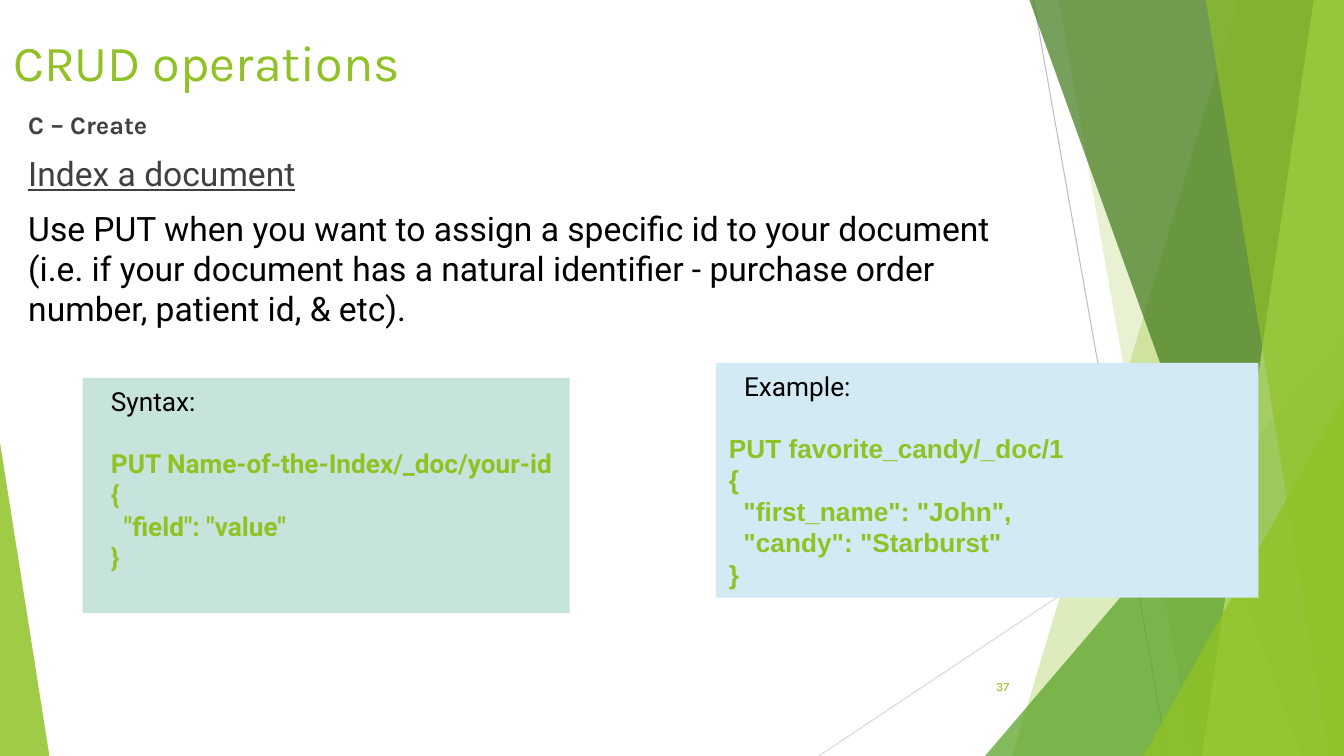
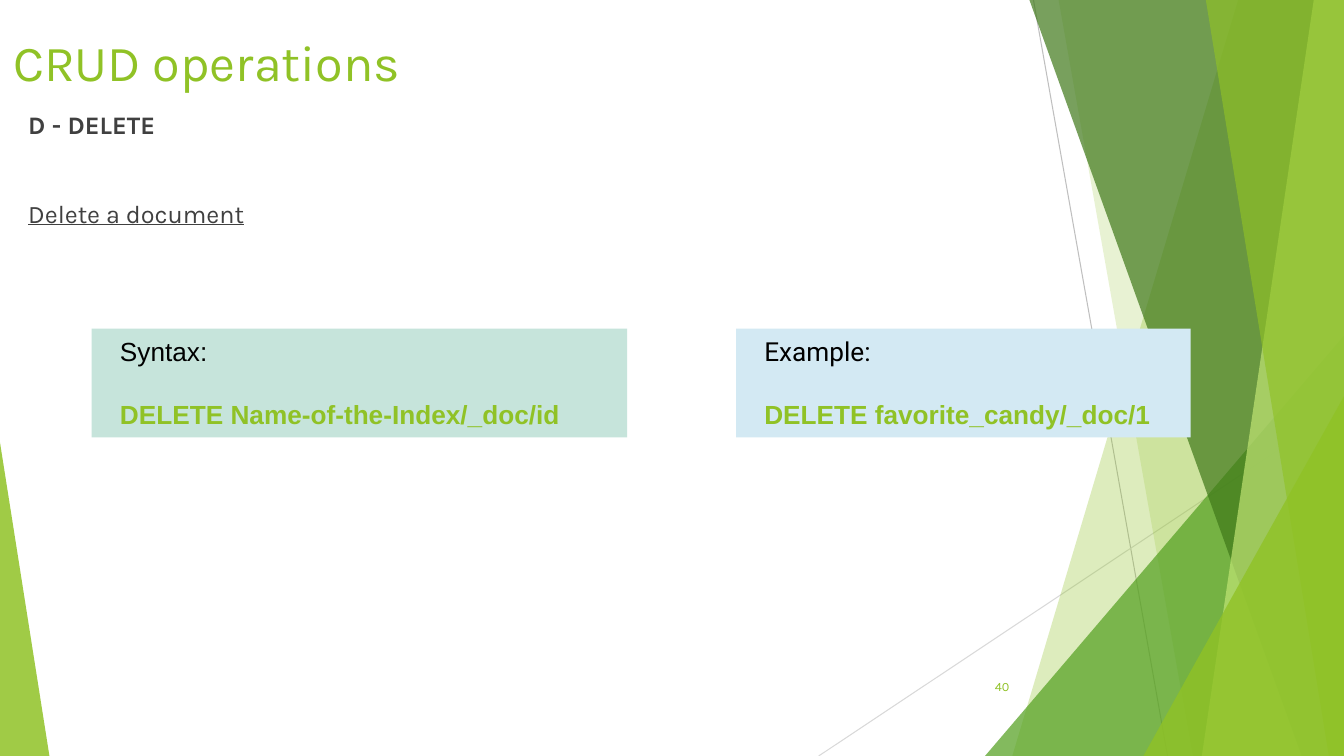
from lxml import etree
from pptx import Presentation
from pptx.dml.color import RGBColor
from pptx.enum import shapes, text
from pptx.oxml.ns import qn
from pptx.util import Inches, Pt

W, H = 13.33, 7.5
COLORS = {
    "accent": "90C226", "green": "54A021", "forest": "3F7819", "lime": "C0E474",
    "body": "404040", "black": "000000", "mint": "C6E4DB", "sky": "D3E9F3",
    "gray": "BFBFBF", "silver": "D9D9D9",
}
INDENT = 0.15
CODE_SIZE = 18.7
TITLE = "CRUD operations"

RULES = [(10.25, 0, 11.58, H, "gray"), (W, 4.03, 8.12, H, "silver")]
DECOR = [
    ("panel", (12.28, 10.04), "accent", 30),
    ("panel", (10.5, 11.83), "accent", 20),
    ("triangle", (9.77, 3.33, 3.56, 1), "green", 72),
    ("panel", (10.21, 12.91), "forest", 70),
    ("panel", (13.03, 11.92), "lime", 70),
    ("panel", (11.96, 13.18), "accent", 65),
    ("triangle", (11.34, 3.93, 1.99, 1), "accent", 80),
    ("triangle", (0, 4.39, 0.49, 0), "accent", 85),
]


def rgb(name):
    return RGBColor.from_string(COLORS[name])


def place(sp, left, top, width, height):
    sp.left, sp.top = Inches(left), Inches(top)
    sp.width, sp.height = Inches(width), Inches(height)


def fill_plain(sp, color, opacity=100):
    sp.shadow.inherit = False
    sp.line.fill.background()
    sp.fill.solid()
    sp.fill.fore_color.rgb = rgb(color)
    if opacity < 100:
        clr = sp.element.spPr.find(qn("a:solidFill"))[0]
        etree.SubElement(clr, qn("a:alpha"), val=str(opacity * 1000))


def set_frame(tf, inset_y=0.13, anchor=text.MSO_ANCHOR.TOP):
    tf.word_wrap = True
    tf.auto_size = text.MSO_AUTO_SIZE.NONE
    tf.vertical_anchor = anchor
    tf.margin_left = tf.margin_right = Inches(0.13)
    tf.margin_top = tf.margin_bottom = Inches(inset_y)


def write(p, words, font, size, color, bold=False, underline=False,
          indent=0, before=0, align=text.PP_ALIGN.LEFT):
    p.text = words
    pPr = p._p.get_or_add_pPr()
    pPr.set("marL", str(Inches(indent)))
    pPr.set("indent", "0")
    etree.SubElement(pPr, qn("a:buNone"))
    p.alignment = align
    p.space_before = Pt(before)
    for r in p.runs:
        r.font.name, r.font.size = font, Pt(size)
        r.font.bold, r.font.underline = bold, underline
        r.font.color.rgb = rgb(color)


def next_paragraph(tf, i):
    return tf.add_paragraph() if i else tf.paragraphs[0]


def add_rule(s, x1, y1, x2, y2, color):
    line = s.shapes.add_connector(
        shapes.MSO_CONNECTOR.STRAIGHT,
        Inches(x1), Inches(y1), Inches(x2), Inches(y2))
    line.line.color.rgb = rgb(color)
    line.line.width = Pt(0.75)
    etree.SubElement(line.element.spPr, qn("a:effectLst"))
    return line


def add_panel(s, top_x, bottom_x):
    builder = s.shapes.build_freeform(Inches(top_x), 0)
    corners = [(W, 0), (W, H), (bottom_x, H)]
    builder.add_line_segments([(Inches(x), Inches(y)) for x, y in corners])
    return builder.convert_to_shape()


def add_triangle(s, left, top, width, apex):
    sp = s.shapes.add_shape(
        shapes.MSO_SHAPE.ISOSCELES_TRIANGLE,
        Inches(left), Inches(top), Inches(width), Inches(H - top))
    sp.adjustments[0] = apex
    return sp


def style_layout(layout, s):
    makers = {"panel": add_panel, "triangle": add_triangle}
    parts = [add_rule(s, *rule) for rule in RULES]
    for kind, geometry, color, opacity in DECOR:
        sp = makers[kind](s, *geometry)
        fill_plain(sp, color, opacity)
        parts.append(sp)
    for part in parts:
        layout.shapes.element.append(part.element)


def add_number(s, number):
    box = s.shapes.add_textbox(
        Inches(9.39), Inches(6.61), Inches(0.75), Inches(0.4))
    set_frame(box.text_frame)
    write(box.text_frame.paragraphs[0], number, "Karla", 9, "accent",
          align=text.PP_ALIGN.RIGHT)


def add_title(s):
    title = s.shapes.title
    place(title, 0, 0, 10.2, 1.04)
    set_frame(title.text_frame, anchor=text.MSO_ANCHOR.BOTTOM)
    write(title.text_frame.paragraphs[0], TITLE, "Karla", 36, "accent")


def add_body(s, height, items):
    body = s.placeholders[1]
    place(body, 0, 0.95, 10.2, height)
    set_frame(body.text_frame)
    for i, (words, style) in enumerate(items):
        write(next_paragraph(body.text_frame, i), words, indent=INDENT, **style)


def add_code_box(s, at, fill, label, code, label_font="Roboto",
                 code_font="Arial", code_indent=INDENT):
    sp = s.shapes.add_shape(
        shapes.MSO_SHAPE.RECTANGLE, *[Inches(v) for v in at])
    fill_plain(sp, fill)
    tf = sp.text_frame
    set_frame(tf, inset_y=0.07)
    write(tf.paragraphs[0], label, label_font, CODE_SIZE, "black", indent=INDENT)
    for i, line in enumerate(code):
        write(tf.add_paragraph(), line, code_font, CODE_SIZE, "accent",
              bold=True, indent=code_indent, before=0 if i else 22)


def add_slide(prs, layout, number, height, items):
    s = prs.slides.add_slide(layout)
    add_title(s)
    add_body(s, height, items)
    add_number(s, number)
    return s


def main():
    prs = Presentation()
    prs.slide_width, prs.slide_height = Inches(W), Inches(H)
    layout = prs.slide_layouts[1]
    heading = dict(font="Karla", size=18, color="body", bold=True)
    large = dict(font="Roboto", size=24, before=10)

    s = add_slide(prs, layout, "37", 2.8, [
        ("C – Create", heading),
        ("Index a document", dict(large, color="body", underline=True)),
        ("Use PUT when you want to assign a specific id to your document "
         "(i.e. if your document has a natural identifier - purchase order "
         "number, patient id, & etc).", dict(large, color="black")),
    ])
    style_layout(layout, s)
    add_code_box(s, (7.1, 3.6, 5.38, 2.33), "sky", "Example:", [
        "PUT favorite_candy/_doc/1",
        "{",
        '  "first_name": "John",',
        '  "candy": "Starburst"',
        "}",
    ], code_indent=0)
    add_code_box(s, (0.82, 3.75, 4.83, 2.33), "mint", "Syntax:", [
        "PUT Name-of-the-Index/_doc/your-id",
        "{",
        '  "field": "value"',
        "}",
    ], code_font="Roboto")

    s = add_slide(prs, layout, "40", 5.01, [
        ("D - DELETE", heading),
        ("Delete a document",
         dict(heading, bold=False, underline=True, before=42)),
    ])
    add_code_box(s, (7.3, 3.26, 4.51, 1.08), "sky", "Example:",
                 ["DELETE favorite_candy/_doc/1"])
    add_code_box(s, (0.91, 3.26, 5.31, 1.08), "mint", "Syntax:",
                 ["DELETE Name-of-the-Index/_doc/id"], label_font="Arial")

    prs.save("out.pptx")


if __name__ == "__main__":
    main()
